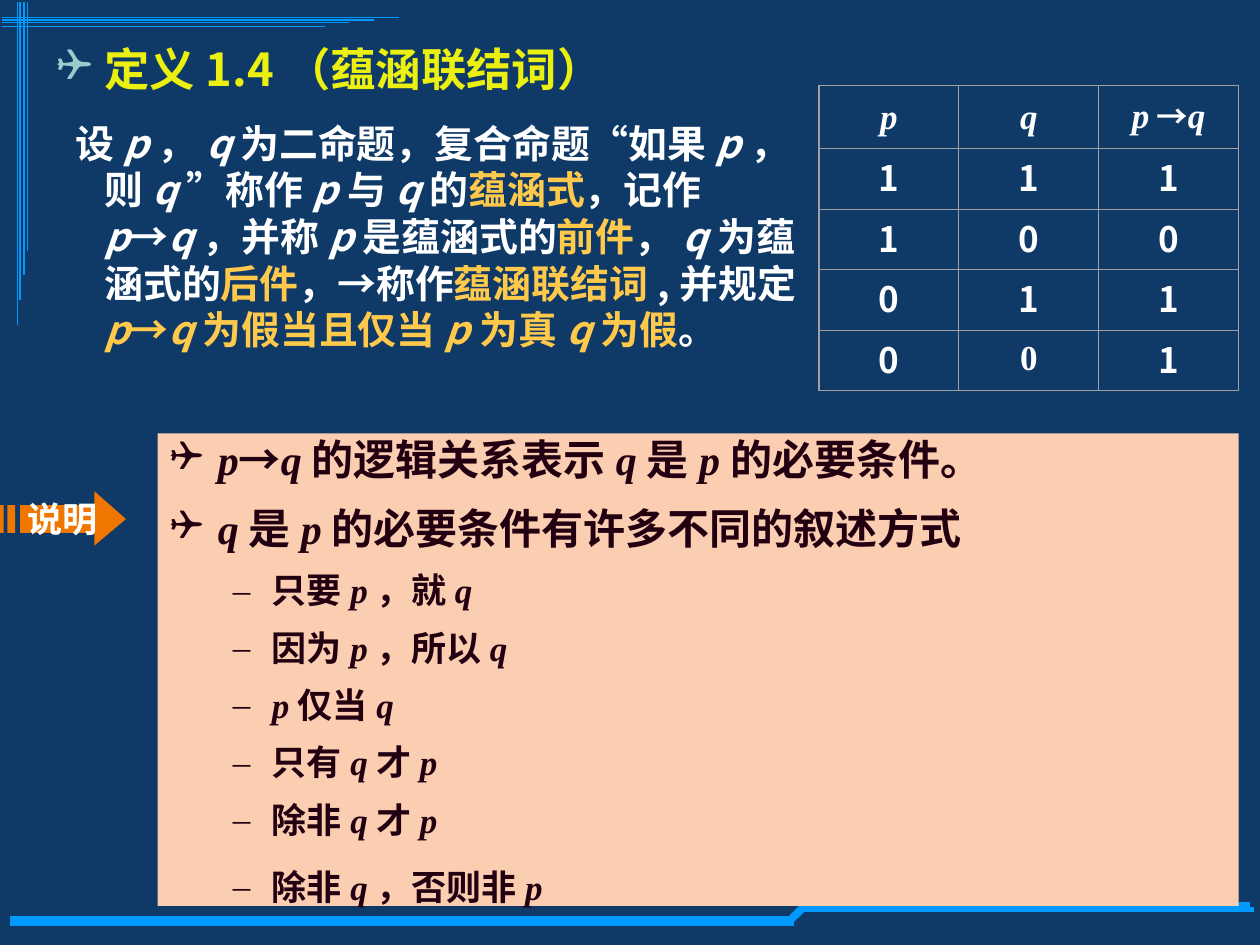
from itertools import groupby

from lxml import etree
from pptx import Presentation
from pptx.dml.color import RGBColor
from pptx.enum.shapes import MSO_CONNECTOR, MSO_SHAPE
from pptx.enum.text import MSO_ANCHOR, PP_ALIGN
from pptx.oxml.ns import qn
from pptx.util import Inches, Pt

NAVY = RGBColor(0x0F, 0x3A, 0x68)
BLUE = RGBColor(0x00, 0x99, 0xFF)
YELLOW = RGBColor(0xEB, 0xF0, 0x10)
GOLD = RGBColor(0xFF, 0xC9, 0x4C)
WHITE = RGBColor(0xFF, 0xFF, 0xFF)
TEAL = RGBColor(0x99, 0xCC, 0xCC)
ORANGE = RGBColor(0xF0, 0x76, 0x00)
PEACH = RGBColor(0xFC, 0xCE, 0xB1)
MAROON = RGBColor(0x22, 0x00, 0x11)
GRAY = RGBColor(0xA0, 0xA0, 0xA0)
CJK = "Noto Sans CJK SC"
SERIF = "Times New Roman"


def add_runs(paragraph, text, size, color, variable_font=CJK, text_font=CJK):
    """Add bold text in which the variables p and q are italic."""
    for is_variable, letters in groupby(text, lambda letter: letter in "pq"):
        run = paragraph.add_run()
        run.text = "".join(letters)
        run.font.size = Pt(size)
        run.font.bold = True
        run.font.italic = is_variable
        run.font.color.rgb = color
        run.font.name = variable_font if is_variable else text_font
        east_asian = etree.SubElement(run.font._element, qn("a:ea"))
        east_asian.set("typeface", CJK)


def set_indent(paragraph, left, first, bullet=None, color=None):
    """Set the hanging indent and the bullet of a paragraph."""
    properties = paragraph._p.get_or_add_pPr()
    properties.set("marL", str(Inches(left)))
    properties.set("indent", str(Inches(first)))
    if bullet:
        bullet_color = etree.SubElement(properties, qn("a:buClr"))
        etree.SubElement(bullet_color, qn("a:srgbClr")).set("val", str(color))
        bullet_font = etree.SubElement(properties, qn("a:buFont"))
        bullet_font.set("typeface", "Wingdings" if bullet == "❑" else SERIF)
        etree.SubElement(properties, qn("a:buChar")).set("char", bullet)
    else:
        etree.SubElement(properties, qn("a:buNone"))


presentation = Presentation()
presentation.slide_width = Inches(10)
presentation.slide_height = Inches(7.5)
slide = presentation.slides.add_slide(presentation.slide_layouts[6])
slide.background.fill.solid()
slide.background.fill.fore_color.rgb = NAVY
shapes = slide.shapes

# Decorative lines: stepped rail at the bottom, crossing strokes at top left
lines = [
    (0.08, 7.29, 6.3, 7.29, 3),
    (0.08, 7.33, 6.3, 7.33, 3),
    (6.28, 7.28, 6.39, 7.17, 3),
    (6.27, 7.32, 6.38, 7.21, 3),
    (6.38, 7.18, 9.92, 7.18, 3),
    (6.37, 7.22, 9.95, 7.22, 3),
]
for y, end in zip((0.14, 0.16, 0.18, 0.21), (3.17, 2.97, 2.77, 2.58)):
    lines.append((0.02, y, end, y, 0.75))
for x, end in zip((0.14, 0.16, 0.19, 0.22), (2.58, 2.38, 2.18, 1.99)):
    lines.append((x, 0.02, x, end, 0.75))
for x1, y1, x2, y2, width in lines:
    connector = shapes.add_connector(
        MSO_CONNECTOR.STRAIGHT, Inches(x1), Inches(y1), Inches(x2), Inches(y2))
    connector.line.color.rgb = BLUE
    connector.line.width = Pt(width)
    etree.SubElement(connector._element.spPr, qn("a:effectLst"))

# Definition
definition = shapes.add_textbox(Inches(0.35), Inches(0.28), Inches(6.17), Inches(2.98))
text_frame = definition.text_frame
text_frame.word_wrap = True
paragraph = text_frame.paragraphs[0]
set_indent(paragraph, 0.38, -0.38, "❑", TEAL)
add_runs(paragraph, "定义1.4（蕴涵联结词）", 25.9, YELLOW)

paragraph = text_frame.add_paragraph()
set_indent(paragraph, 0.38, -0.23)
paragraph.space_before = Pt(13.5)
for text, color in [
    ("设p，q为二命题，复合命题“如果p，则q”称作p与q的", WHITE),
    ("蕴涵式", GOLD),
    ("，记作p→q，并称p是蕴涵式的", WHITE),
    ("前件", GOLD),
    ("，q为蕴涵式的", WHITE),
    ("后件", GOLD),
    ("，→称作", WHITE),
    ("蕴涵联结词", GOLD),
    (",并规定", WHITE),
    ("p→q为假当且仅当p为真q为假", GOLD),
    ("。", WHITE),
]:
    add_runs(paragraph, text, 22.2, color)

# Striped arrow label
builder = shapes.build_freeform(Inches(0.75), Inches(3.9), scale=1.0)
arrow_points = [(0.75, 4.01), (0.16, 4.01), (0.16, 4.23), (0.75, 4.23), (0.75, 4.33), (1, 4.12)]
builder.add_line_segments([(Inches(x), Inches(y)) for x, y in arrow_points])
for left, right in [(0.06, 0.12), (0, 0.03)]:
    builder.move_to(Inches(left), Inches(4.01))
    stripe_points = [(left, 4.23), (right, 4.23), (right, 4.01)]
    builder.add_line_segments([(Inches(x), Inches(y)) for x, y in stripe_points])
arrow = builder.convert_to_shape()
arrow.shadow.inherit = False
arrow.fill.solid()
arrow.fill.fore_color.rgb = ORANGE
arrow.line.fill.background()
arrow.text_frame.word_wrap = True
arrow.text_frame.vertical_anchor = MSO_ANCHOR.MIDDLE
paragraph = arrow.text_frame.paragraphs[0]
paragraph.alignment = PP_ALIGN.CENTER
add_runs(paragraph, "说明", 20, WHITE, text_font="Arial")

# Explanation panel
panel = shapes.add_shape(
    MSO_SHAPE.RECTANGLE, Inches(1.25), Inches(3.44), Inches(8.58), Inches(3.75))
panel.shadow.inherit = False
panel.fill.solid()
panel.fill.fore_color.rgb = PEACH
panel.line.fill.background()
text_frame = panel.text_frame
text_frame.word_wrap = True
text_frame.vertical_anchor = MSO_ANCHOR.TOP
statements = [
    (0, "p→q的逻辑关系表示q是p的必要条件。", 0),
    (0, "q是p的必要条件有许多不同的叙述方式", 13.5),
    (1, "只要p，就q", 11.2),
    (1, "因为p，所以q", 11.2),
    (1, "p仅当q", 11.2),
    (1, "只有q才p", 11.2),
    (1, "除非q才p", 11.2),
    (1, "除非q，否则非p", 16.5),
]
for index, (level, text, space_before) in enumerate(statements):
    paragraph = text_frame.add_paragraph() if index else text_frame.paragraphs[0]
    if level:
        set_indent(paragraph, 0.81, -0.31, "–", MAROON)
    else:
        set_indent(paragraph, 0.38, -0.38, "❑", MAROON)
    paragraph.level = level
    paragraph.alignment = PP_ALIGN.LEFT
    paragraph.line_spacing = 0.9
    paragraph.space_before = Pt(space_before)
    add_runs(paragraph, text, 20 if level else 24, MAROON, SERIF)

# Truth table
truth_rows = [("p", "q", "p →q"), "111", "100", "011", "001"]
table = shapes.add_table(
    5, 3, Inches(6.5), Inches(0.68), Inches(3.33), Inches(2.42)).table
table.first_row = False
table.horz_banding = False
for row_index, values in enumerate(truth_rows):
    table.rows[row_index].height = Inches(0.48 if row_index else 0.5)
    for column_index, value in enumerate(values):
        cell = table.cell(row_index, column_index)
        text_font = SERIF if (row_index, column_index) == (4, 1) else CJK
        # Serif lines are lower, so they start further down to share a baseline
        if value in "pq":
            cell.margin_top = Inches(0.1)
        elif text_font == SERIF:
            cell.margin_top = Inches(0.07)
        else:
            cell.margin_top = Inches(0.02 if row_index else 0.05)
        cell.margin_bottom = 0
        paragraph = cell.text_frame.paragraphs[0]
        paragraph.alignment = PP_ALIGN.CENTER
        add_runs(paragraph, value, 20, WHITE, SERIF, text_font)
        if "→" in value:
            paragraph.runs[1].font.size = Pt(18)
        properties = cell._tc.get_or_add_tcPr()
        for side in ("a:lnL", "a:lnR", "a:lnT", "a:lnB"):
            border = etree.SubElement(properties, qn(side))
            border.set("w", str(Pt(0.75)))
            fill = etree.SubElement(border, qn("a:solidFill"))
            etree.SubElement(fill, qn("a:srgbClr")).set("val", str(GRAY))
        cell.fill.background()

presentation.save("out.pptx")
